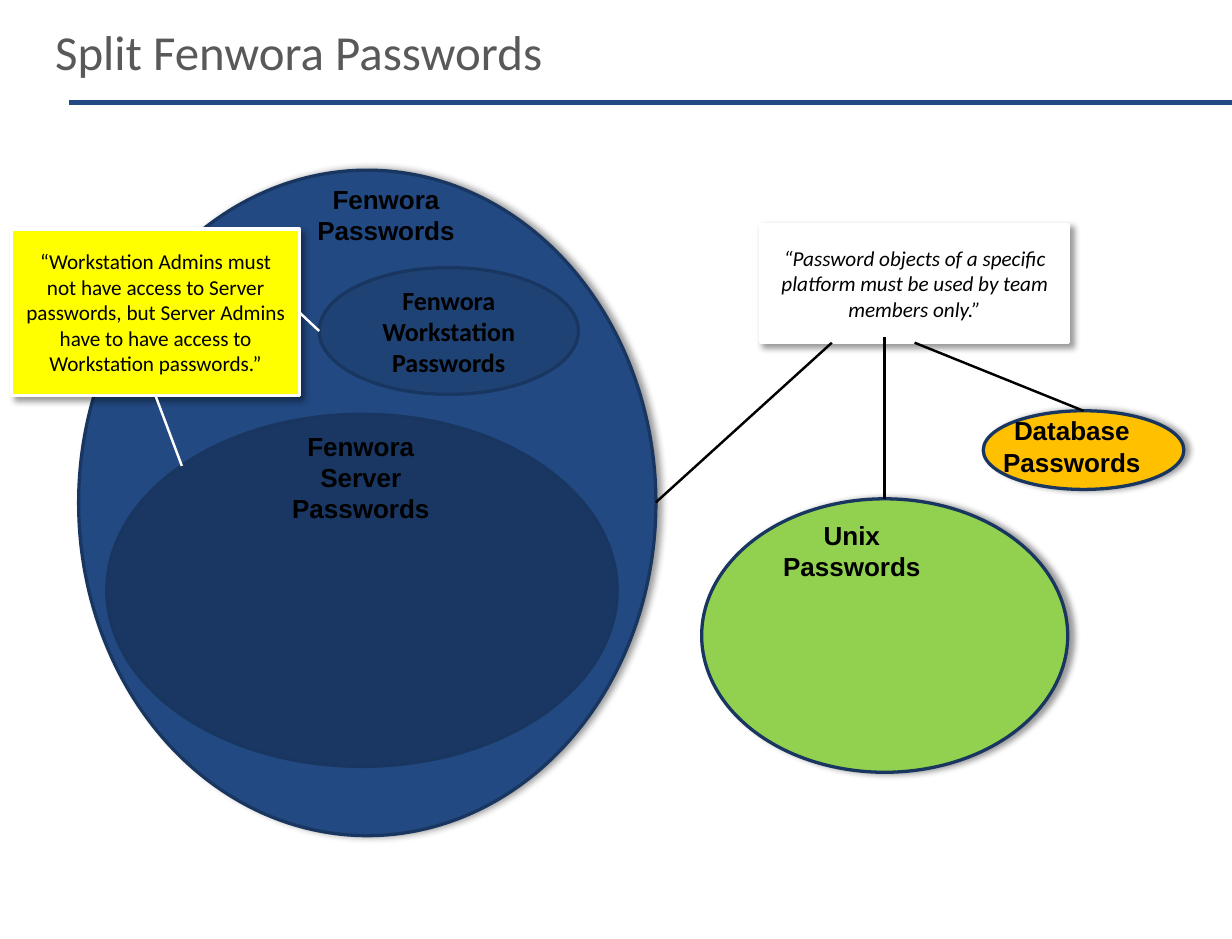
from typing import NamedTuple, Optional

from lxml.etree import SubElement
from pptx import Presentation
from pptx.dml.color import RGBColor
from pptx.enum.shapes import MSO_CONNECTOR, MSO_SHAPE
from pptx.enum.text import MSO_ANCHOR, PP_ALIGN
from pptx.oxml.ns import qn
from pptx.util import Inches, Pt

COLORS = {
    "title": "595959", "rule": "224982", "outline": "193660",
    "black": "000000", "white": "FFFFFF", "yellow": "FFFF00",
    "green": "92D050", "amber": "FFC000",
    "platform": "224982", "server": "193762", "workstation": "1F4275",
}


class Box(NamedTuple):
    left: float
    top: float
    width: float
    height: float


class Figure(NamedTuple):
    name: str
    kind: MSO_SHAPE
    box: Box
    fill: str
    outline: str = "outline"
    shadow_angle: Optional[int] = None
    text: str = ""
    size: int = 16
    bold: bool = False
    italic: bool = False


class Label(NamedTuple):
    box: Box
    text: str


class Link(NamedTuple):
    start: tuple
    end: tuple
    color: str
    begin_join: Optional[tuple] = None
    end_join: Optional[tuple] = None


OVAL, RECTANGLE = MSO_SHAPE.OVAL, MSO_SHAPE.RECTANGLE

FIGURES = [
    Figure("unix", OVAL, Box(5.98, 4.25, 3.12, 2.33), "green", shadow_angle=0),
    Figure("database", OVAL, Box(8.38, 3.5, 1.71, 0.67), "amber", shadow_angle=0),
    Figure("platform", OVAL, Box(0.67, 1.45, 4.92, 5.67), "platform", shadow_angle=0),
    Figure("server", OVAL, Box(0.91, 3.53, 4.35, 3), "server"),
    Figure("workstation", OVAL, Box(2.72, 2.28, 2.21, 1.08), "workstation",
           text="Fenwora\nWorkstation\nPasswords", bold=True),
    Figure("team rule", RECTANGLE, Box(6.48, 1.91, 2.63, 1.01), "white", "white", 45,
           "“Password objects of a specific platform must be used by team "
           "members only.”", 13, italic=True),
    Figure("admin rule", RECTANGLE, Box(0.1, 1.95, 2.45, 1.42), "yellow", "white", 45,
           "“Workstation Admins must not have access to Server passwords, but "
           "Server Admins have to have access to Workstation passwords.”", 13),
]

LABELS = [
    Label(Box(2.55, 1.56, 1.48, 0.54), "Fenwora\nPasswords"),
    Label(Box(8.51, 3.53, 1.25, 0.54), "Database Passwords"),
    Label(Box(6.6, 4.42, 1.32, 0.54), "Unix\nPasswords"),
    Label(Box(2.15, 3.66, 1.85, 0.81), "Fenwora\nServer Passwords"),
]

LINKS = [
    Link((5.59, 4.28), (7.09, 2.92), "black"),
    Link((7.54, 4.25), (7.54, 2.87), "black", begin_join=("unix", 0)),
    Link((9.23, 3.5), (7.79, 2.92), "black", ("database", 0), ("team rule", 2)),
    Link((1.55, 3.97), (1.32, 3.37), "white", end_join=("admin rule", 2)),
    Link((2.72, 2.82), (2.55, 2.66), "white", end_join=("admin rule", 3)),
]


def color(name: str) -> RGBColor:
    return RGBColor.from_string(COLORS[name])


def inches(values) -> list:
    return [Inches(value) for value in values]


def add_shadow(shape, angle: int) -> None:
    effects = shape._element.spPr.find(qn("a:effectLst"))
    shadow = SubElement(effects, qn("a:outerShdw"), blurRad=str(Pt(4)),
                        dist=str(Pt(3)), dir=str(angle * 60000), rotWithShape="0")
    shade = SubElement(shadow, qn("a:srgbClr"), val=COLORS["black"])
    SubElement(shade, qn("a:alpha"), val="40000")


def write_text(shape, text: str, font: str, size: int, ink: str = "black",
               bold: bool = False, italic: bool = False, align=PP_ALIGN.CENTER,
               anchor=MSO_ANCHOR.MIDDLE, insets: tuple = (0, 0)) -> None:
    """Set the text; insets are the side margin and the top and bottom margin."""
    frame = shape.text_frame
    frame.text = text
    frame.word_wrap = True
    frame.vertical_anchor = anchor
    frame.margin_left = frame.margin_right = Inches(insets[0])
    frame.margin_top = frame.margin_bottom = Inches(insets[1])
    for paragraph in frame.paragraphs:
        paragraph.alignment = align
        for run in paragraph.runs:
            run.font.name = font
            run.font.size = Pt(size)
            run.font.bold = bold
            run.font.italic = italic
            run.font.color.rgb = color(ink)


def add_figure(slide, figure: Figure):
    shape = slide.shapes.add_shape(figure.kind, *inches(figure.box))
    shape.fill.solid()
    shape.fill.fore_color.rgb = color(figure.fill)
    shape.line.color.rgb = color(figure.outline)
    shape.line.width = Pt(2)
    shape.shadow.inherit = False
    if figure.shadow_angle is not None:
        add_shadow(shape, figure.shadow_angle)
    if figure.text:
        write_text(shape, figure.text, "Calibri", figure.size, bold=figure.bold,
                   italic=figure.italic, insets=(0.11, 0.05))
    return shape


def add_label(slide, label: Label) -> None:
    text_box = slide.shapes.add_textbox(*inches(label.box))
    write_text(text_box, label.text, "Arial", 16, bold=True)


def add_line(slide, start: tuple, end: tuple, ink: str, width: float):
    line = slide.shapes.add_connector(MSO_CONNECTOR.STRAIGHT, *inches(start + end))
    line.line.color.rgb = color(ink)
    line.line.width = Pt(width)
    SubElement(line._element.spPr, qn("a:effectLst"))
    return line


def add_link(slide, link: Link, shapes: dict) -> None:
    line = add_line(slide, link.start, link.end, link.color, 1.5)
    if link.begin_join:
        name, site = link.begin_join
        line.begin_connect(shapes[name], site)
    if link.end_join:
        name, site = link.end_join
        line.end_connect(shapes[name], site)


def add_title(slide, text: str) -> None:
    title = slide.shapes.title
    title.left, title.top, title.width, title.height = inches((0.37, 0.13, 8.3, 0.8))
    write_text(title, text, "Calibri", 30, "title", align=PP_ALIGN.LEFT,
               anchor=MSO_ANCHOR.TOP, insets=(0.1, 0.05))


def main() -> None:
    presentation = Presentation()
    presentation.slide_width, presentation.slide_height = inches((10.5, 8))
    slide = presentation.slides.add_slide(presentation.slide_layouts[5])

    add_title(slide, "Split Fenwora Passwords")
    add_line(slide, (0.59, 0.87), (10.5, 0.87), "rule", 3)
    shapes = {figure.name: add_figure(slide, figure) for figure in FIGURES}
    for label in LABELS:
        add_label(slide, label)
    for link in LINKS:
        add_link(slide, link, shapes)

    presentation.save("out.pptx")


if __name__ == "__main__":
    main()
